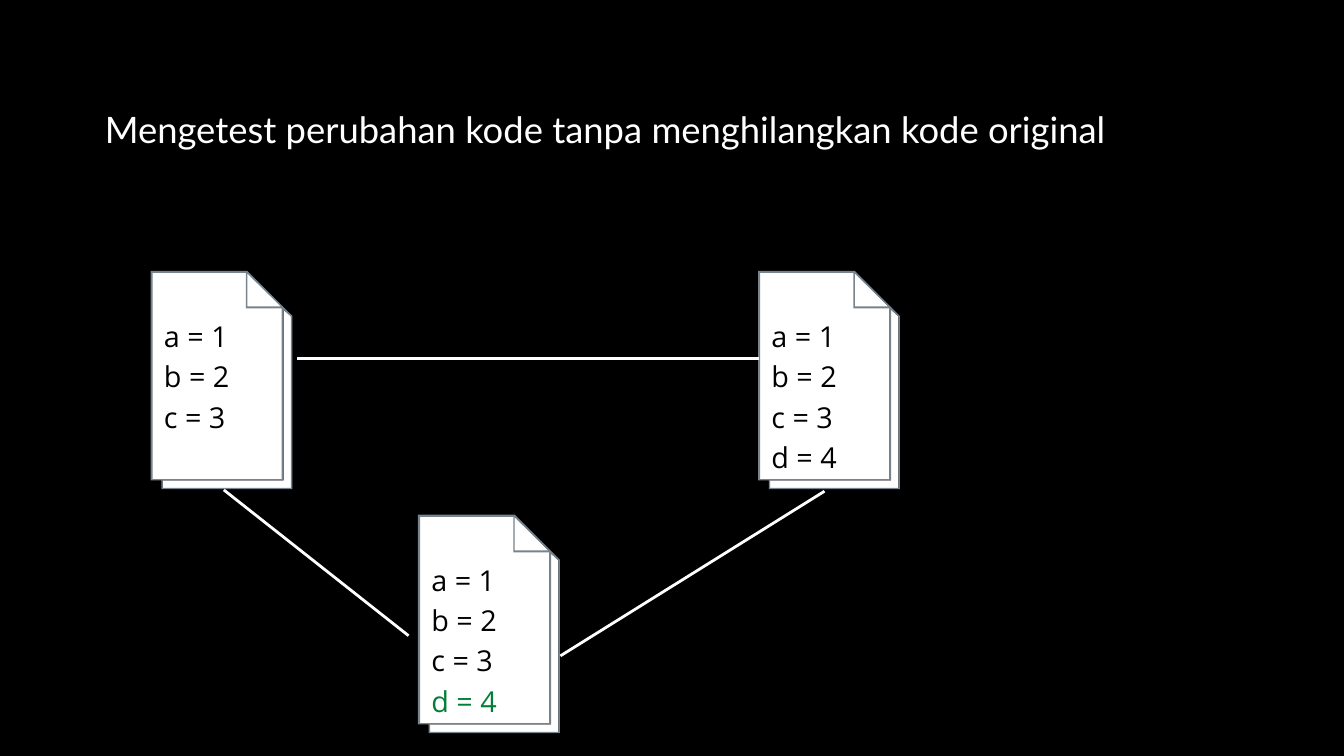
from dataclasses import dataclass

from lxml import etree
from pptx import Presentation
from pptx.dml.color import RGBColor
from pptx.enum import shapes, text
from pptx.oxml import ns
from pptx.util import Inches, Pt

COLUMNS, ROWS = 20, 11.25
CELL = Inches(1)


@dataclass(frozen=True)
class Theme:
    ground: str = "000000"
    light: str = "FFFFFF"
    ink: str = "000000"
    added: str = "008037"
    edge: str = "77838D"
    title_font: str = "Lato"
    code_font: str = "Open Sans"
    title_size: float = 39
    code_size: float = 30.8
    leading: float = 1.4
    line_width: float = 3


@dataclass(frozen=True)
class Box:
    left: float
    top: float
    width: float
    height: float

    def inner(self, left, top, width, height):
        return Box(self.left + left, self.top + top, width, height)

    def point(self, across, down):
        return cells(self.left + across), cells(self.top + down)

    def emu(self):
        return [cells(side) for side in (self.left, self.top, self.width, self.height)]


THEME = Theme()
SHEET_WIDTH, SHEET_HEIGHT = 2.11, 3.25
CODE_ROW = 0.59

BACK_SHEET = [(0.18, 3.12), (0.18, 3.23), (2.09, 3.23), (2.09, 0.68), (1.98, 0.58), (1.98, 3.12)]
FRONT_SHEET = [(1.43, 0.02), (0.02, 0.02), (0.02, 3.1), (1.96, 3.1), (1.96, 0.55)]
OUTLINE = [(1.44, 0), (0, 0), (0, 3.12), (0.16, 3.12), (0.16, 3.25),
           (2.11, 3.25), (2.11, 0.67), (1.98, 0.54)]
FOLD = [(1.44, 0.04), (1.94, 0.53), (1.44, 0.53)]
FRONT_OPENING = [(0.03, 3.1), (0.03, 0.03), (1.42, 0.03), (1.42, 0.56), (1.95, 0.56), (1.95, 3.1)]


def cells(count):
    return round(count * CELL)


def color(value):
    return RGBColor.from_string(value)


def add_outline(parent, box, contours, fill):
    first, *others = contours
    builder = parent.build_freeform(*box.point(*first[0]))
    builder.add_line_segments([box.point(*corner) for corner in first[1:]])
    for contour in others:
        builder.move_to(*box.point(*contour[0]))
        builder.add_line_segments([box.point(*corner) for corner in contour[1:]])
    shape = builder.convert_to_shape()
    shape.shadow.inherit = False
    shape.fill.solid()
    shape.fill.fore_color.rgb = color(fill)
    shape.line.fill.background()


def add_text(page, box, lines, font, size):
    frame = page.shapes.add_textbox(*box.emu()).text_frame
    frame.word_wrap = True
    frame.auto_size = text.MSO_AUTO_SIZE.SHAPE_TO_FIT_TEXT
    frame.margin_left = frame.margin_right = frame.margin_top = frame.margin_bottom = 0
    for index, (words, ink) in enumerate(lines):
        para = frame.add_paragraph() if index else frame.paragraphs[0]
        para.line_spacing = Pt(round(size * THEME.leading, 1))
        span = para.add_run()
        span.text = words
        span.font.name = font
        span.font.size = Pt(size)
        span.font.color.rgb = color(ink)


def add_title(page, box, words):
    add_text(page, box, [(words, THEME.light)], THEME.title_font, THEME.title_size)


def add_code_file(page, box, lines):
    icon = page.shapes.add_group_shape().shapes
    add_outline(icon, box, [BACK_SHEET], THEME.light)
    add_outline(icon, box, [FRONT_SHEET], THEME.light)
    add_outline(icon, box, [OUTLINE, FOLD, FRONT_OPENING, BACK_SHEET], THEME.edge)
    code_box = box.inner(0.2, 0.63, 1.91, CODE_ROW * len(lines))
    add_text(page, code_box, lines, THEME.code_font, THEME.code_size)


def add_link(page, start, end):
    ends = [cells(place) for place in (*start, *end)]
    link = page.shapes.add_connector(shapes.MSO_CONNECTOR.STRAIGHT, *ends)
    link.line.color.rgb = color(THEME.light)
    link.line.width = Pt(THEME.line_width)
    etree.SubElement(link._element.spPr, ns.qn("a:effectLst"))


def main():
    deck = Presentation()
    deck.slide_width, deck.slide_height = cells(COLUMNS), cells(ROWS)
    page = deck.slides.add_slide(deck.slide_layouts[6])
    page.background.fill.solid()
    page.background.fill.fore_color.rgb = color(THEME.ground)

    add_title(page, Box(1.56, 1.49, 16.88, 0.71),
              "Mengetest perubahan kode tanpa menghilangkan kode original")

    base = [(words, THEME.ink) for words in ("a = 1", "b = 2", "c = 3")]
    files = [
        (2.24, 4.03, base),
        (6.22, 7.66, base + [("d = 4", THEME.added)]),
        (11.28, 4.03, base + [("d = 4", THEME.ink)]),
    ]
    for left, top, lines in files:
        add_code_file(page, Box(left, top, SHEET_WIDTH, SHEET_HEIGHT), lines)

    links = [
        ((3.33, 7.29), (6.08, 9.46)),
        ((4.42, 5.33), (11.3, 5.33)),
        ((8.34, 9.76), (12.27, 7.31)),
    ]
    for start, end in links:
        add_link(page, start, end)

    deck.save("out.pptx")


if __name__ == "__main__":
    main()
